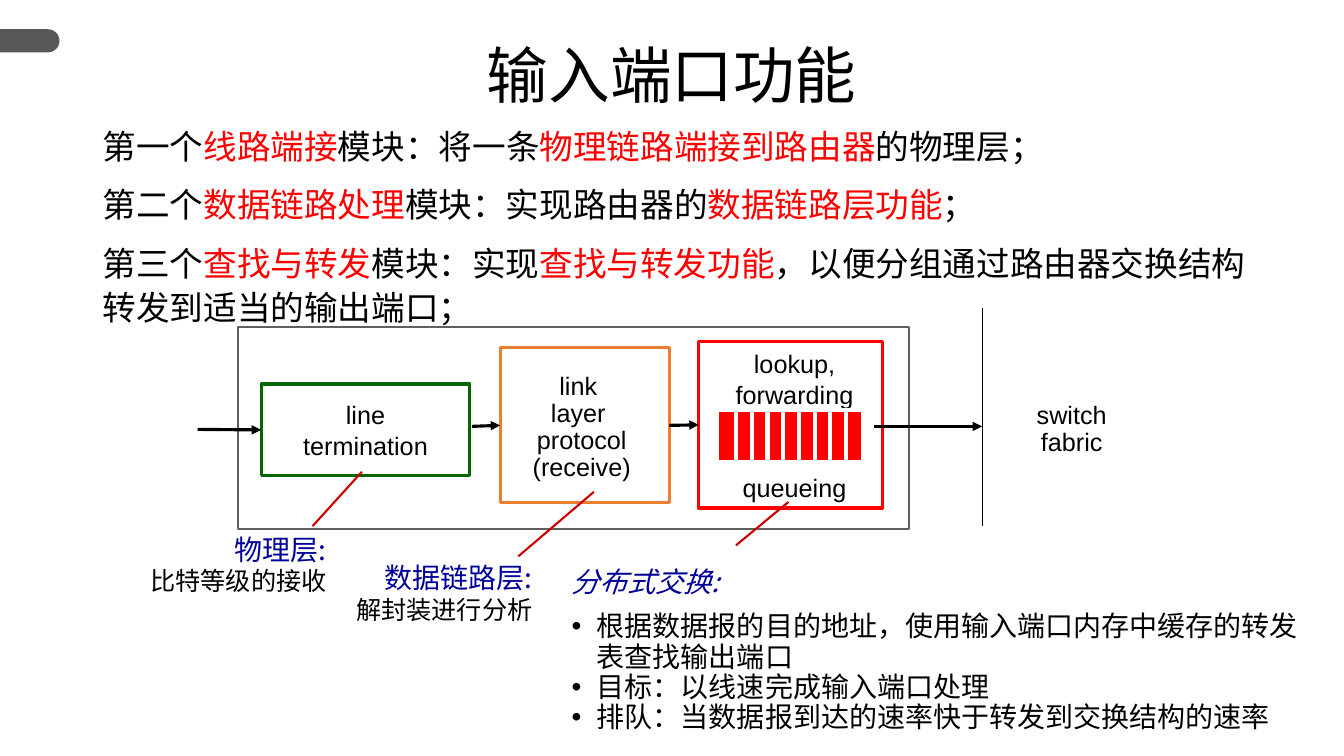
from lxml.etree import SubElement
from pptx import Presentation
from pptx.dml.color import RGBColor
from pptx.enum.shapes import MSO_CONNECTOR, MSO_SHAPE
from pptx.enum.text import MSO_ANCHOR, PP_ALIGN
from pptx.oxml.ns import qn
from pptx.util import Inches, Pt

BLACK = RGBColor(0, 0, 0)
WHITE = RGBColor(255, 255, 255)
RED = RGBColor(255, 0, 0)
GREEN = RGBColor(0, 0x66, 0)
ORANGE = RGBColor(0xED, 0x7D, 0x31)
NAVY = RGBColor(0, 0, 0x99)
CRIMSON = RGBColor(0xCC, 0, 0)
GREY = RGBColor(0x5F, 0x5F, 0x5F)
SLATE = RGBColor(0x57, 0x57, 0x57)
LATIN = "Arial"
HAN = "Noto Sans CJK SC"


def add_run(para, text, size, color=BLACK, face=LATIN, italic=False):
    run = para.add_run()
    run.text = text
    font = run.font
    font.size, font.name, font.italic = Pt(size), face, italic
    font.color.rgb = color
    SubElement(font._element, qn("a:ea")).set("typeface", HAN)


def add_para(frame, align=PP_ALIGN.LEFT, spacing=1.0, before=0):
    """Use the empty first paragraph, then add further ones."""
    para = frame.paragraphs[0]
    if para.runs:
        para = frame.add_paragraph()
        para.space_before = Pt(before)
    para.alignment, para.line_spacing = align, spacing
    return para


def add_lines(frame, lines, spacing=1.0):
    for line in lines:
        add_run(add_para(frame, PP_ALIGN.CENTER, spacing), line, 18)


def add_text(slide, box, wrap=True):
    frame = slide.shapes.add_textbox(*map(Inches, box)).text_frame
    frame.word_wrap = wrap
    frame.vertical_anchor = MSO_ANCHOR.TOP
    return frame


def add_box(shapes, box, fill=WHITE, line=None, width=2.25, kind=MSO_SHAPE.RECTANGLE):
    shape = shapes.add_shape(kind, *map(Inches, box))
    shape.shadow.inherit = False
    shape.fill.solid()
    shape.fill.fore_color.rgb = fill
    if line is None:
        shape.line.fill.background()
    else:
        shape.line.color.rgb = line
        shape.line.width = Pt(width)
    frame = shape.text_frame
    frame.word_wrap = False
    frame.vertical_anchor = MSO_ANCHOR.MIDDLE
    return shape


def add_line(shapes, start, end, color=BLACK, width=2.25, arrow=False):
    line = shapes.add_connector(MSO_CONNECTOR.STRAIGHT, *map(Inches, start + end))
    line.line.color.rgb = color
    line.line.width = Pt(width)
    if arrow:
        SubElement(line.line._get_or_add_ln(), qn("a:tailEnd")).set("type", "triangle")
    SubElement(line._element.spPr, qn("a:effectLst"))
    return line


def add_tab(slide, left, top, width, height):
    """Bar at the slide edge with a rounded right end."""
    box = (left + (width - height) / 2, top + (height - width) / 2, height, width)
    tab = add_box(slide.shapes, box, SLATE, kind=MSO_SHAPE.ROUND_2_SAME_RECTANGLE)
    tab.adjustments[0] = 0.5
    tab.rotation = 90


def add_title(slide, box):
    para = add_para(add_text(slide, box), PP_ALIGN.CENTER, 0.9)
    add_run(para, "输入端口功能", 44)


def add_body(slide, box):
    """Paragraphs whose every second run is red."""
    rows = [
        ("第一个", "线路端接", "模块：将一条", "物理链路端接到路由器", "的物理层；"),
        ("第二个", "数据链路处理", "模块：实现路由器的", "数据链路层功能", "；"),
        ("第三个", "查找与转发", "模块：实现", "查找与转发功能",
         "，以便分组通过路由器交换结构转发到适当的输出端口；"),
    ]
    frame = add_text(slide, box)
    for row in rows:
        para = add_para(frame, spacing=1.1, before=10)
        for i, text in enumerate(row):
            add_run(para, text, 24, RED if i % 2 else BLACK, HAN)


def add_queue(slide, left, top, width, height):
    group = slide.shapes.add_group_shape().shapes
    add_box(group, (left, top, width, height), RED, WHITE, 3)
    for i in range(8):
        x = left + 0.19 + i * 0.156
        add_line(group, (x, top + 0.01), (x, top + height - 0.01), WHITE, 3)


def add_port(slide, left, top, width, height):
    """Input port: three stages, the arrows between them and the fabric."""
    shapes = slide.shapes

    def place(x, y, *size):
        return (left + x, top + y) + size

    add_box(shapes, (left, top, width, height), line=GREY, width=1.5)
    term = add_box(shapes, place(0.23, 0.57, 2.07, 0.91), line=GREEN)
    add_lines(term.text_frame, ["line", "termination"])
    link = add_box(shapes, place(2.6, 0.21, 1.68, 1.54), line=ORANGE)
    lookup = add_box(shapes, place(4.57, 0.15, 1.82, 1.65), line=RED)

    enter = add_line(shapes, place(-0.4, 1.02), place(0.23, 1.02), arrow=True)
    enter.end_connect(term, 1)
    pass_on = add_line(shapes, place(2.32, 0.99), place(2.6, 0.98), arrow=True)
    pass_on.end_connect(link, 1)
    hand = add_line(shapes, place(4.28, 0.95), place(4.57, 0.95), arrow=True)
    hand.begin_connect(link, 3)
    hand.end_connect(lookup, 1)
    add_line(shapes, place(6.31, 0.99), place(7.38, 0.99), arrow=True)

    label = add_box(shapes, place(2.64, 0.55, 1.54, 0.91))
    add_lines(label.text_frame, ["link ", "layer ", "protocol", "(receive)"], 0.9)
    frame = add_text(slide, place(4.83, 0.17, 1.38, 1.62), False)
    add_lines(frame, ["lookup,", "forwarding"])
    add_run(add_para(frame, PP_ALIGN.CENTER, before=45), "queueing", 18)
    add_queue(slide, *place(4.75, 0.83, 1.45, 0.51))

    add_line(shapes, place(7.38, -0.18), place(7.38, 1.98), width=0.75)
    fabric = add_box(shapes, place(7.5, 0.57, 1.54, 0.91))
    add_lines(fabric.text_frame, ["switch", "fabric"], 0.9)


def add_note(slide, box, head, text, wrap):
    frame = add_text(slide, box, wrap)
    add_run(add_para(frame, PP_ALIGN.RIGHT), head, 20, NAVY, HAN)
    add_run(add_para(frame, PP_ALIGN.RIGHT), text, 18, face=HAN)


def add_list(slide, box):
    items = [
        "根据数据报的目的地址，使用输入端口内存中缓存的转发表查找输出端口",
        "目标：以线速完成输入端口处理",
        "排队：当数据报到达的速率快于转发到交换结构的速率",
    ]
    frame = add_text(slide, box)
    head = add_para(frame, spacing=0.9)
    add_run(head, "分布式交换:", 20, NAVY, HAN, True)
    for i, item in enumerate(items):
        para = add_para(frame, spacing=0.9, before=0 if i else 10)
        props = para._p.get_or_add_pPr()
        props.set("marL", str(Inches(0.25)))
        props.set("indent", str(Inches(-0.25)))
        SubElement(props, qn("a:buFont")).set("typeface", LATIN)
        SubElement(props, qn("a:buChar")).set("char", "•")
        add_run(para, item, 20)


def main():
    deck = Presentation()
    deck.slide_width, deck.slide_height = Inches(13.33), Inches(7.5)
    slide = deck.slides.add_slide(deck.slide_layouts[6])
    add_tab(slide, 0, 0.29, 0.59, 0.23)
    add_title(slide, (0, 0.4, 13.33, 1.25))
    add_body(slide, (0.92, 1.16, 11.72, 3.53))
    add_port(slide, 2.36, 3.24, 6.66, 2.01)
    add_note(slide, (1.37, 5.23, 1.97, 0.74), "物理层:", "比特等级的接收", False)
    add_note(slide, (3.34, 5.51, 2.04, 0.74), "数据链路层:", "解封装进行分析", True)
    add_list(slide, (5.57, 5.59, 7.49, 1.77))
    for start, end in [((3.1, 5.22), (3.59, 4.68)), ((5.14, 5.52), (5.89, 4.88)),
                       ((7.3, 5.41), (7.82, 4.98))]:
        add_line(slide.shapes, start, end, CRIMSON, 1.5)
    deck.save("out.pptx")


if __name__ == "__main__":
    main()
